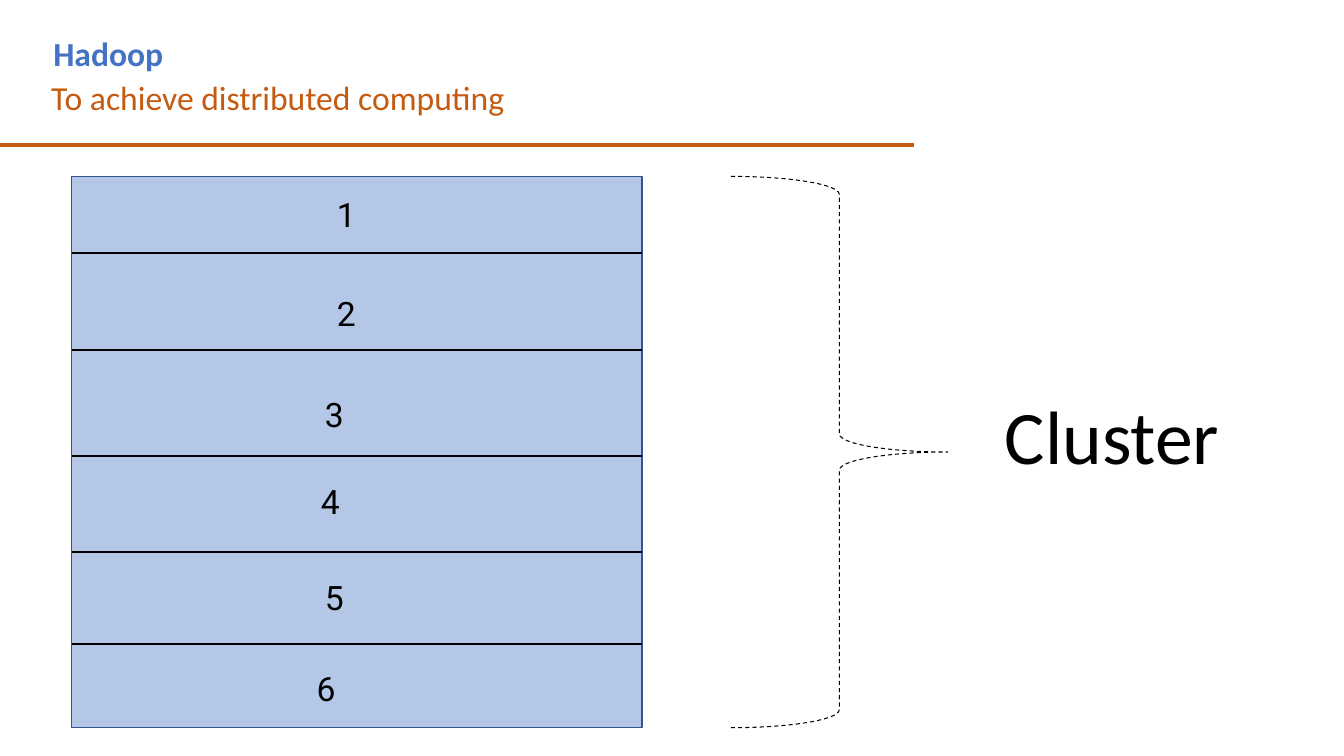
from lxml import etree
from pptx import Presentation
from pptx.dml.color import RGBColor
from pptx.enum.dml import MSO_LINE
from pptx.enum.shapes import MSO_CONNECTOR, MSO_SHAPE
from pptx.enum.text import PP_ALIGN
from pptx.oxml.ns import qn
from pptx.util import Inches, Pt

RECT, BRACE = MSO_SHAPE.RECTANGLE, MSO_SHAPE.RIGHT_BRACE
STRAIGHT, DASH = MSO_CONNECTOR.STRAIGHT, MSO_LINE.DASH
LEFT, CENTER = PP_ALIGN.LEFT, PP_ALIGN.CENTER
BLUE, PALE_BLUE, EDGE_BLUE = "4472C4", "B4C7E7", "325491"
ORANGE, BLACK = "C55A11", "000000"

SLIDE_W, SLIDE_H = 13.33, 7.5
LABEL_W, LABEL_H = 2.51, 0.5
# Height of each block, then the left and top of its number within the stack
BLOCKS = [
    (0.76, 1.47, 0.12),
    (0.96, 1.47, 1.11),
    (1.05, 1.35, 2.11),
    (0.96, 1.31, 2.97),
    (0.91, 1.35, 3.92),
    (0.83, 1.27, 4.83),
]


def color(hex_text):
    return RGBColor.from_string(hex_text)


def add_text(slide, text, x, y, w, h, size, hex_text,
             font="Calibri", bold=False, align=LEFT, wrap=True):
    tf = slide.shapes.add_textbox(*map(Inches, (x, y, w, h))).text_frame
    tf.word_wrap = wrap
    tf.text = text
    p = tf.paragraphs[0]
    p.alignment = align
    r = p.runs[0]
    r.font.name, r.font.size, r.font.bold = font, Pt(size), bold
    r.font.color.rgb = color(hex_text)


def add_rule(slide, x1, x2, y, hex_text, width):
    """Draw a horizontal line without a shadow."""
    line = slide.shapes.add_connector(STRAIGHT, *map(Inches, (x1, y, x2, y)))
    line.line.color.rgb = color(hex_text)
    line.line.width = Pt(width)
    etree.SubElement(line._element.spPr, qn("a:effectLst"))


def add_outline(slide, kind, x, y, w, h, hex_text, width):
    """Add an unfilled preset shape without a shadow."""
    sp = slide.shapes.add_shape(kind, *map(Inches, (x, y, w, h)))
    sp.shadow.inherit = False
    sp.fill.background()
    sp.line.color.rgb = color(hex_text)
    sp.line.width = Pt(width)
    return sp


def add_header(slide, x, y, w):
    add_text(slide, "To achieve distributed computing",
             x, y + 0.43, w, 0.5, 24, ORANGE)
    add_rule(slide, 0, 9.07, y + 1.16, ORANGE, 3)
    add_text(slide, "Hadoop", x + 0.02, y, w, 0.5, 24, BLUE, bold=True)


def add_stack(slide, x, y, w, h):
    """Draw the numbered blocks as one divided rectangle."""
    sp = add_outline(slide, RECT, x, y, w, h, EDGE_BLUE, 1)
    sp.fill.solid()
    sp.fill.fore_color.rgb = color(PALE_BLUE)
    bottom = y
    for number, (height, dx, dy) in enumerate(BLOCKS, 1):
        bottom += height
        if number < len(BLOCKS):
            add_rule(slide, x, x + w, bottom, BLACK, 1.5)
        add_text(slide, str(number), x + dx, y + dy, LABEL_W, LABEL_H,
                 24, BLACK, font="Roboto", align=CENTER)


def add_cluster(slide, x, y, w, h):
    """Draw the dashed brace with its label to the right."""
    brace = add_outline(slide, BRACE, x, y, w, h, BLACK, 0.75)
    brace.line.dash_style = DASH
    add_text(slide, "Cluster", x + w + 0.33, y + 2.06, 2.6, 1.01,
             54, BLACK, align=CENTER, wrap=False)


def main():
    prs = Presentation()
    prs.slide_width, prs.slide_height = Inches(SLIDE_W), Inches(SLIDE_H)
    slide = prs.slides.add_slide(prs.slide_layouts[6])
    top, height = 1.75, 5.47
    add_header(slide, 0.41, 0.28, 8.75)
    add_stack(slide, 0.71, top, 5.66, height)
    add_cluster(slide, 7.25, top, 2.15, height)
    prs.save("out.pptx")


if __name__ == "__main__":
    main()
